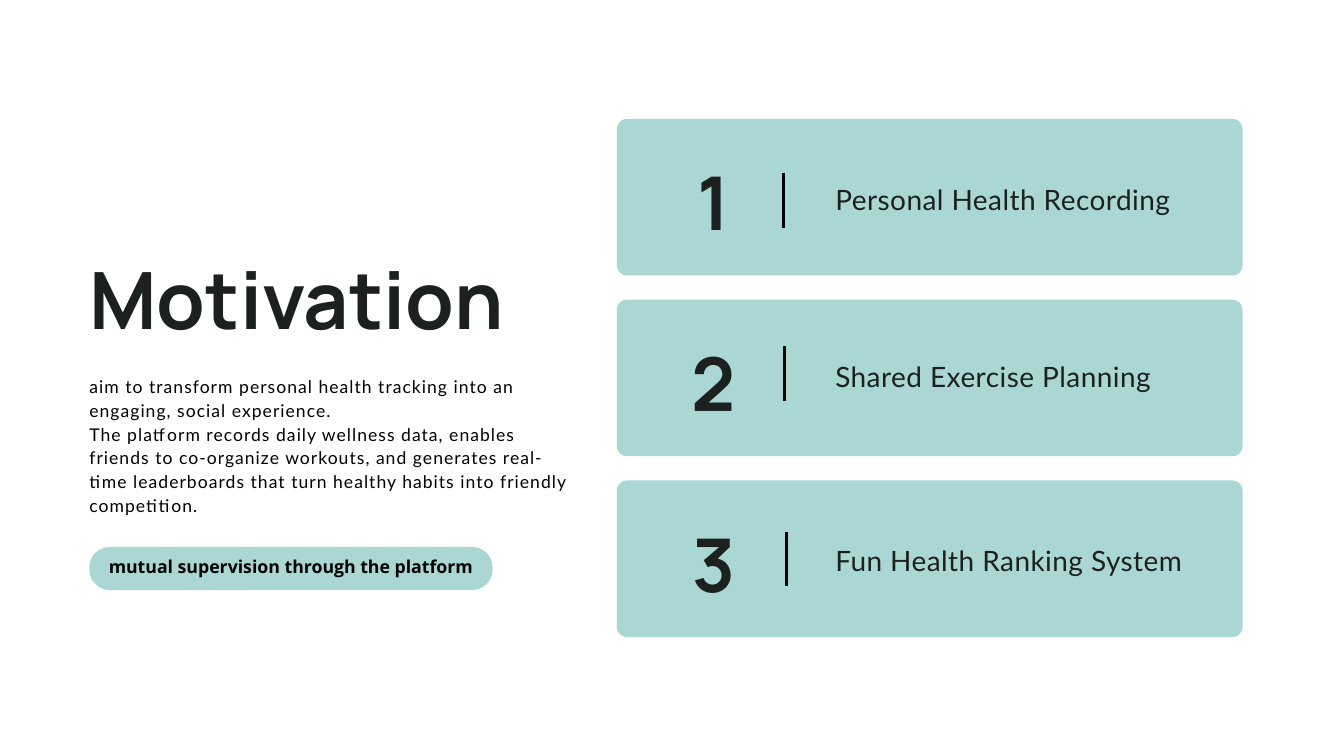
from lxml import etree
from pptx import Presentation
from pptx import util as u
from pptx.dml.color import RGBColor
from pptx.enum import shapes, text
from pptx.oxml.ns import qn

MINT = RGBColor(0xAA, 0xD7, 0xD4)
INK = RGBColor(0x1C, 0x21, 0x20)
BLACK = RGBColor(0, 0, 0)
LEFT, CENTER = text.PP_ALIGN.LEFT, text.PP_ALIGN.CENTER
TOP, MIDDLE = text.MSO_ANCHOR.TOP, text.MSO_ANCHOR.MIDDLE
COLUMNS, ROWS = 20, 11.25


class MotivationSlide:
    """Holds the style and the slide, and places elements on a grid of 20 columns by 11.25 rows."""

    def __init__(self, deck):
        self.column = deck.slide_width / COLUMNS
        self.row = deck.slide_height / ROWS
        self.slide = deck.slides.add_slide(deck.slide_layouts[1])

    def cells(self, left, top, width, height):
        return (round(left * self.column), round(top * self.row),
                round(width * self.column), round(height * self.row))

    def set_text(self, holder, paragraphs, font, size, color, leading,
                 bold=False, align=LEFT, anchor=TOP, tracking=0, bottom=0):
        frame = holder.text_frame
        frame.word_wrap = True
        frame.auto_size = text.MSO_AUTO_SIZE.NONE
        frame.vertical_anchor = anchor
        frame.margin_left = frame.margin_right = frame.margin_top = 0
        frame.margin_bottom = u.Inches(bottom)
        for index, words in enumerate(paragraphs):
            paragraph = frame.add_paragraph() if index else frame.paragraphs[0]
            paragraph.alignment = align
            paragraph.line_spacing = u.Pt(leading)
            paragraph.space_before = paragraph.space_after = u.Pt(0)
            run = paragraph.add_run()
            run.text = words
            run.font.name, run.font.size, run.font.bold = font, u.Pt(size), bold
            run.font.color.rgb = color
            if tracking:
                run.font._element.set("spc", str(round(tracking * 100)))

    def title(self, box, words, **style):
        heading = self.slide.shapes.title
        heading.left, heading.top, heading.width, heading.height = self.cells(*box)
        self.set_text(heading, [words], **style)

    def body(self, box, paragraphs, **style):
        summary = self.slide.placeholders[1]
        summary.left, summary.top, summary.width, summary.height = self.cells(*box)
        self.set_text(summary, paragraphs, **style)
        for paragraph in summary.text_frame.paragraphs:
            properties = paragraph._p.get_or_add_pPr()
            properties.set("marL", "0")
            properties.set("indent", "0")
            etree.SubElement(properties, qn("a:buNone"))

    def label(self, box, words, **style):
        self.set_text(self.slide.shapes.add_textbox(*self.cells(*box)), [words], **style)

    def panel(self, box, radius):
        panel = self.slide.shapes.add_shape(
            shapes.MSO_SHAPE.ROUNDED_RECTANGLE, *self.cells(*box))
        panel.adjustments[0] = radius / box[3]
        panel.shadow.inherit = False
        panel.fill.solid()
        panel.fill.fore_color.rgb = MINT
        panel.line.fill.background()
        return panel

    def divider(self, left, top, height):
        x, y, _, length = self.cells(left, top, 0, height)
        divider = self.slide.shapes.add_connector(
            shapes.MSO_CONNECTOR.STRAIGHT, x, y + length, x, y)
        divider.line.color.rgb = BLACK
        divider.line.width = u.Pt(3)
        etree.SubElement(divider._element.spPr, qn("a:effectLst"))


def main():
    deck = Presentation()
    deck.slide_width, deck.slide_height = u.Inches(20), u.Inches(11.25)
    page = MotivationSlide(deck)

    page.title((1.33, 3.8, 9.34, 1.45), "Motivation",
               font="Manrope", size=84.7, color=INK, leading=96.6, bold=True)
    page.body((1.33, 5.56, 7.23, 2.39), [
        "aim to transform personal health tracking into an engaging, social experience.",
        "The platform records daily wellness data, enables friends to co-organize workouts, "
        "and generates real-time leaderboards that turn healthy habits into friendly competition.",
    ], font="Lato", size=18.8, color=BLACK, leading=25.4, tracking=1.1)
    tagline = page.panel((1.33, 8.14, 6, 0.64), 0.3)
    page.set_text(tagline, ["mutual supervision through the platform"],
                  font="Open Sans", size=19, color=BLACK, leading=26.6, bold=True,
                  align=CENTER, anchor=MIDDLE, bottom=0.12)

    goals = [("Personal Health Recording", 2.65, 11.66, 2.58),
             ("Shared Exercise Planning", 5.29, 11.68, 5.15),
             ("Fun Health Ranking System", 8.02, 11.7, 7.91)]
    for index, (goal, goal_top, divider_left, divider_top) in enumerate(goals):
        top = 1.77 + 2.69 * index
        page.panel((9.18, top, 9.31, 2.33), 0.15)
        page.label((10, top + 0.63, 1.25, 1.35), str(index + 1),
                   font="Manrope", size=79.4, color=INK, leading=90.5,
                   bold=True, align=CENTER)
        page.divider(divider_left, divider_top, 0.81)
        page.label((12.43, goal_top, 5.71, 0.54), goal,
                   font="Lato", size=30, color=INK, leading=40.5, tracking=0.5)

    deck.save("out.pptx")


if __name__ == "__main__":
    main()
